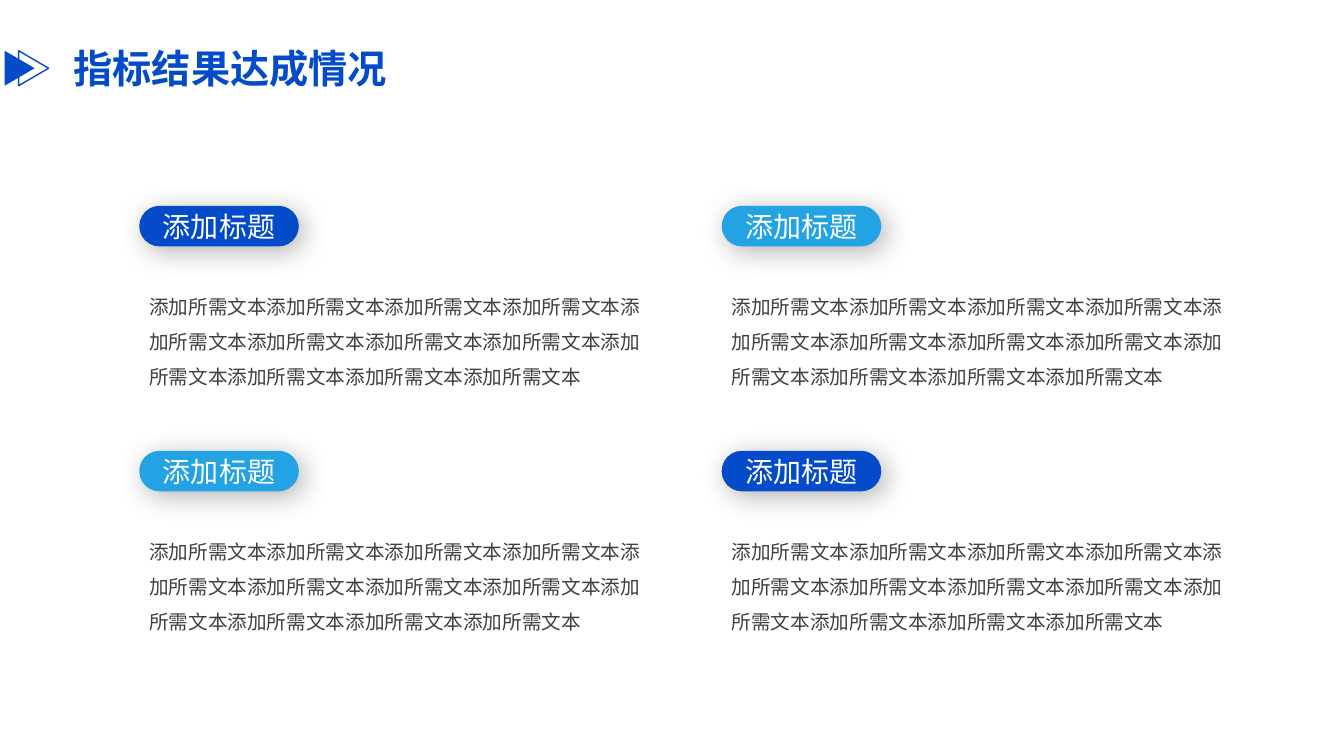
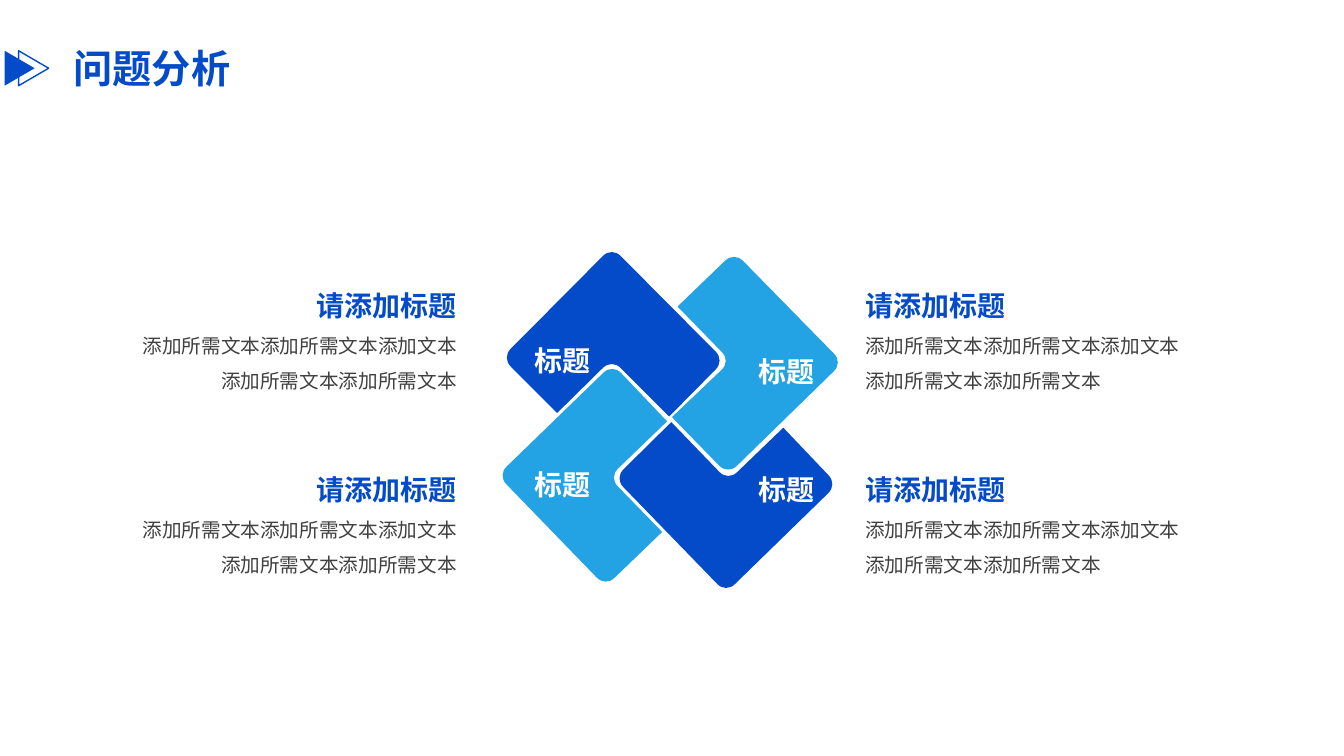
"""Build two slides: indicator results and problem analysis."""
from lxml import etree
from pptx import Presentation
from pptx import util as u
from pptx.dml.color import RGBColor
from pptx.enum import shapes, text
from pptx.oxml import ns

PX = 6350
FONT = "Noto Sans CJK SC"
BLUE = RGBColor(0x04, 0x4B, 0xC9)
SKY = RGBColor(0x23, 0xA2, 0xE4)
GREY = RGBColor(0x40, 0x40, 0x40)
WHITE = RGBColor(0xFF, 0xFF, 0xFF)
LEFT, RIGHT, CENTER = text.PP_ALIGN.LEFT, text.PP_ALIGN.RIGHT, text.PP_ALIGN.CENTER
FILLER = "添加所需文本"
CORNER_CUT = 18
CORNER_PULL = 10


def px(*lengths):
    """Turn px lengths into EMU."""
    return [u.Emu(round(length * PX)) for length in lengths]


def add_line(paragraph, wording, size, color, bold=False, align=LEFT, spacing=None):
    """Fill a paragraph with one styled run."""
    paragraph.alignment = align
    if spacing:
        paragraph.line_spacing = spacing
    run = paragraph.add_run()
    run.text = wording
    font = run.font
    font.size, font.bold, font.name = u.Pt(size), bold, FONT
    font.color.rgb = color
    etree.SubElement(run._r.get_or_add_rPr(), ns.qn("a:ea"), typeface=FONT)


def add_text(slide, box, lines, align=LEFT, spacing=None):
    """Place a wrapping text box with one paragraph per line tuple."""
    frame = slide.shapes.add_textbox(*px(*box)).text_frame
    frame.word_wrap = True
    frame.auto_size = text.MSO_AUTO_SIZE.SHAPE_TO_FIT_TEXT
    for index, line in enumerate(lines):
        paragraph = frame.add_paragraph() if index else frame.paragraphs[0]
        add_line(paragraph, *line, align=align, spacing=spacing)


def paint(shape, color):
    """Give a shape a plain fill without line or shadow."""
    shape.shadow.inherit = False
    shape.fill.solid()
    shape.fill.fore_color.rgb = color
    shape.line.fill.background()


def add_soft_shadow(shape):
    """Put a blurred shadow below and right of a shape."""
    effects = shape._element.spPr.find(ns.qn("a:effectLst"))
    shadow = etree.SubElement(
        effects, ns.qn("a:outerShdw"), blurRad=str(u.Pt(20)), dist=str(u.Pt(5)),
        dir="2700000", algn="tl", rotWithShape="0")
    color = etree.SubElement(shadow, ns.qn("a:srgbClr"), val="000000")
    etree.SubElement(color, ns.qn("a:alpha"), val="30000")


def add_header(slide, title):
    """Place the double arrow mark and the slide title."""
    mark = slide.shapes.add_group_shape()
    solid, outlined = [
        mark.shapes.add_shape(shapes.MSO_SHAPE.ISOSCELES_TRIANGLE, *px(left, 76, 50, 43))
        for left in (3, 23)]
    for arrow in (solid, outlined):
        arrow.rotation = 90
        paint(arrow, BLUE)
    outlined.fill.background()
    outlined.line.color.rgb = BLUE
    outlined.line.width = u.Pt(1)
    add_text(slide, (91, 56, 539, 82), [(title, 28, BLUE, True)])


def add_result(slide, left, top, color):
    """Place a pill heading with its body text below."""
    pill = slide.shapes.add_shape(
        shapes.MSO_SHAPE.ROUNDED_RECTANGLE, *px(left, top, 228, 58))
    pill.adjustments[0] = 0.5
    paint(pill, color)
    add_soft_shadow(pill)
    pill.text_frame.vertical_anchor = text.MSO_ANCHOR.MIDDLE
    add_line(pill.text_frame.paragraphs[0], "添加标题", 20, WHITE, align=CENTER)
    add_text(slide, (left, top + 103, 753, 167), [(FILLER * 12, 14, GREY)], spacing=1.5)


def toward(start, end, distance):
    """Return the point at a distance from start on the way to end."""
    dx, dy = end[0] - start[0], end[1] - start[1]
    share = distance / (dx * dx + dy * dy) ** 0.5
    return start[0] + dx * share, start[1] + dy * share


def round_corner(before, corner, after):
    """Return the ends, controls and apex of a two-part corner curve."""
    cut_in, cut_out = (toward(corner, other, CORNER_CUT) for other in (before, after))
    pull_in, pull_out = (toward(corner, other, CORNER_PULL) for other in (before, after))
    apex = tuple((a + b) / 2 for a, b in zip(pull_in, pull_out))
    return [cut_in, pull_in, apex, pull_out, cut_out]


def bend(shape, controls):
    """Join each control point and the point after it into a quadratic curve."""
    steps = list(shape._element.iter(ns.qn("a:moveTo"), ns.qn("a:lnTo")))
    for index in controls:
        control, end = steps[index], steps[index + 1]
        end.tag
        curve = etree.Element(ns.qn("a:quadBezTo"))
        control.addprevious(curve)
        for step in (control, end):
            curve.append(step[0])
            step.getparent().remove(step)


def add_petal(slide, left, top, color, corners, sharp):
    """Draw one interlocking petal, rounding all but the sharp corners."""
    start = sharp[0]
    outline, controls = [], []
    for offset in range(len(corners)):
        index = (start + offset) % len(corners)
        if index in sharp:
            outline.append(corners[index])
        else:
            after = corners[(index + 1) % len(corners)]
            controls += [len(outline) + 1, len(outline) + 3]
            outline += round_corner(corners[index - 1], corners[index], after)
    points = [px(left + x, top + y) for x, y in outline]
    builder = slide.shapes.build_freeform(*points[0], scale=1.0)
    builder.add_line_segments(points[1:], close=True)
    petal = builder.convert_to_shape()
    bend(petal, controls)
    paint(petal, color)


def add_pinwheel(slide, left, top):
    """Draw the four petals and their labels."""
    petals = [
        (SKY, [(156, 159), (234, 241), (151, 321), (227, 399), (146, 477), (-8, 318)], (1, 3)),
        (BLUE, [(155, -8), (316, 154), (237, 234), (155, 152), (77, 229), (-2, 150)], (2, 4)),
        (SKY, [(330, -1), (485, 157), (321, 317), (241, 235), (325, 155), (249, 77)], (3, 5)),
        (BLUE, [(240, 242), (321, 326), (400, 250), (477, 331), (318, 486), (159, 322)], (0, 2)),
    ]
    for color, corners, sharp in petals:
        add_petal(slide, left, top, color, corners, sharp)
    for x, y, align in ((30, 98, LEFT), (30, 276, LEFT), (286, 283, RIGHT), (286, 114, RIGHT)):
        add_text(slide, (left + x, top + y, 173, 79), [("标题", 20, WHITE, True)], align, 1.5)


def add_issue(slide, left, top, align):
    """Place an issue heading with its explanation."""
    explanation = FILLER * 2 + "添加文本" + FILLER * 2
    lines = [("请添加标题", 20, BLUE, True), (explanation, 14, GREY)]
    add_text(slide, (left, top, 488, 189), lines, align, 1.5)


def build_results(slide):
    """Lay out the results slide as a two by two grid."""
    add_header(slide, "指标结果达成情况")
    for column in (1, 0):
        for row in (0, 1):
            color = SKY if (column + row) % 2 else BLUE
            add_result(slide, 199 + 832 * column, 294 + 350 * row, color)


def build_analysis(slide):
    """Lay out the analysis slide around the pinwheel."""
    add_header(slide, "问题分析")
    add_pinwheel(slide, 719, 361)
    for left, align in ((1222, LEFT), (179, RIGHT)):
        for top in (381, 644):
            add_issue(slide, left, top, align)


def main():
    """Build and save the presentation."""
    deck = Presentation()
    deck.slide_width, deck.slide_height = px(1920, 1080)
    for build in (build_results, build_analysis):
        build(deck.slides.add_slide(deck.slide_layouts[6]))
    deck.save("out.pptx")


if __name__ == "__main__":
    main()
